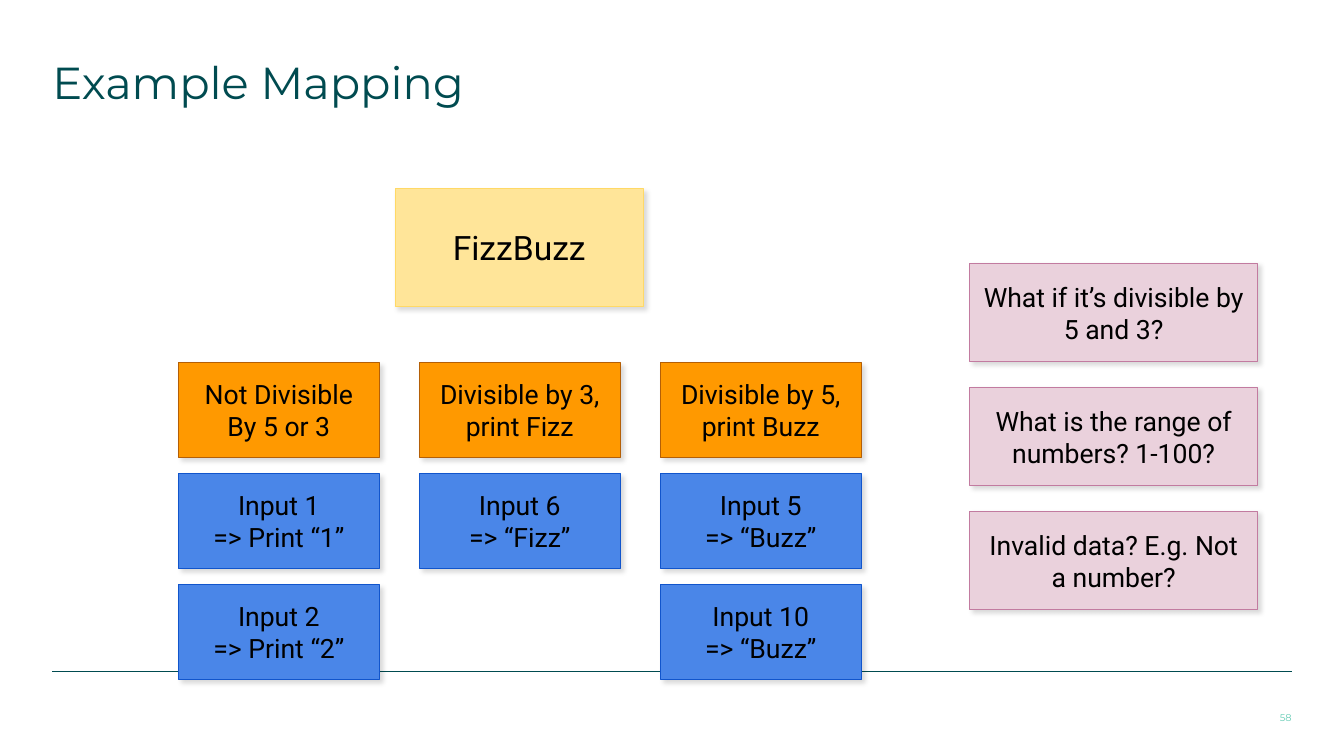
import dataclasses

import lxml.etree
import pptx
import pptx.dml.color
import pptx.enum.shapes
import pptx.enum.text
import pptx.oxml.ns
import pptx.util

Inches = pptx.util.Inches
ALIGN = pptx.enum.text.PP_ALIGN
ANCHOR = pptx.enum.text.MSO_ANCHOR


@dataclasses.dataclass(frozen=True)
class Theme:
    heading_font: str = "Montserrat"
    card_font: str = "Roboto"
    heading: str = "004B50"
    page_number: str = "65CCB5"
    ink: str = "000000"
    story: tuple = ("FFE599", "FFD966")
    rule: tuple = ("FF9900", "B45F06")
    example: tuple = ("4A86E8", "1155CC")
    question: tuple = ("EAD1DC", "C27BA0")
    title_size: float = 32
    story_size: float = 24
    card_size: float = 19
    page_size: float = 7
    line_width: float = 0.75


class SlideBuilder:
    def __init__(self, presentation, theme):
        self.theme = theme
        self.slide = presentation.slides.add_slide(presentation.slide_layouts[5])

    def color(self, value):
        return pptx.dml.color.RGBColor.from_string(value)

    def effects(self, shape):
        return lxml.etree.SubElement(
            shape._element.spPr, pptx.oxml.ns.qn("a:effectLst"))

    def set_text(self, shape, text, font, size, color, align, anchor, inset=0, spacing=None):
        frame = shape.text_frame
        frame.text = text
        margin = Inches(inset)
        frame_format = {
            "word_wrap": True,
            "auto_size": pptx.enum.text.MSO_AUTO_SIZE.NONE,
            "vertical_anchor": anchor,
            "margin_left": margin,
            "margin_right": margin,
            "margin_top": margin,
            "margin_bottom": margin,
        }
        for name, value in frame_format.items():
            setattr(frame, name, value)
        for paragraph in frame.paragraphs:
            paragraph.alignment = align
            paragraph.line_spacing = spacing
            for run in paragraph.runs:
                for name, value in {"name": font, "size": pptx.util.Pt(size)}.items():
                    setattr(run.font, name, value)
                run.font.color.rgb = self.color(color)

    def title(self, text, left, top, width, height):
        shape = self.slide.shapes.title
        position = {"left": left, "top": top, "width": width, "height": height}
        for name, value in position.items():
            setattr(shape, name, Inches(value))
        self.set_text(shape, text, self.theme.heading_font, self.theme.title_size,
                      self.theme.heading, ALIGN.LEFT, ANCHOR.TOP, spacing=0.9)

    def page_number(self, text, left, top, width, height):
        shape = self.slide.shapes.add_textbox(*map(Inches, (left, top, width, height)))
        self.set_text(shape, text, self.theme.heading_font, self.theme.page_size,
                      self.theme.page_number, ALIGN.RIGHT, ANCHOR.MIDDLE)

    def footer_line(self, left, right, top):
        line = self.slide.shapes.add_connector(
            pptx.enum.shapes.MSO_CONNECTOR.STRAIGHT,
            *map(Inches, (left, top, right, top)))
        line.line.color.rgb = self.color(self.theme.heading)
        line.line.width = pptx.util.Pt(self.theme.line_width)
        self.effects(line)

    def card(self, text, left, top, width, height, colors, size):
        shape = self.slide.shapes.add_shape(
            pptx.enum.shapes.MSO_SHAPE.RECTANGLE,
            *map(Inches, (left, top, width, height)))
        fill, outline = colors
        shape.fill.solid()
        shape.fill.fore_color.rgb = self.color(fill)
        shape.line.color.rgb = self.color(outline)
        shape.line.width = pptx.util.Pt(self.theme.line_width)
        self.card_shadow(shape)
        self.set_text(shape, text, self.theme.card_font, size, self.theme.ink,
                      ALIGN.CENTER, ANCHOR.MIDDLE, inset=0.13)

    def card_shadow(self, shape):
        qn = pptx.oxml.ns.qn
        shadow = lxml.etree.SubElement(
            self.effects(shape), qn("a:outerShdw"),
            blurRad=str(pptx.util.Pt(3.4)), dist=str(pptx.util.Pt(3)),
            dir=str(43 * 60000), algn="bl", rotWithShape="0")
        color = lxml.etree.SubElement(shadow, qn("a:srgbClr"), val=self.theme.ink)
        lxml.etree.SubElement(color, qn("a:alpha"), val="15000")


RULE_COLUMNS = [
    ["Not Divisible By 5 or 3", "Input 1\v=> Print “1”", "Input 2\n=> Print “2”"],
    ["Divisible by 3, print Fizz", "Input 6\n=> “Fizz”"],
    ["Divisible by 5, print Buzz", "Input 5\n=> “Buzz”", "Input 10\n=> “Buzz”"],
]
QUESTIONS = [
    "What if it’s divisible by 5 and 3?",
    "What is the range of numbers? 1-100?",
    "Invalid data? E.g. Not a number?",
]


def main():
    presentation = pptx.Presentation()
    presentation.slide_width = Inches(13.33)
    presentation.slide_height = Inches(7.5)
    theme = Theme()
    builder = SlideBuilder(presentation, theme)

    builder.footer_line(0.52, 12.81, 6.66)
    builder.title("Example Mapping", 0.52, 0.6, 12.28, 0.54)
    builder.card("FizzBuzz", 3.92, 1.87, 2.46, 1.17, theme.story, theme.story_size)
    for column, cards in enumerate(RULE_COLUMNS):
        for row, text in enumerate(cards):
            colors = theme.example if row else theme.rule
            builder.card(text, 1.77 + 2.39 * column, 3.6 + 1.1 * row, 1.99, 0.94,
                         colors, theme.card_size)
    for row, text in enumerate(QUESTIONS):
        builder.card(text, 9.62, 2.61 + 1.23 * row, 2.85, 0.98,
                     theme.question, theme.card_size)
    builder.page_number("58", 12.55, 7, 0.26, 0.23)

    presentation.save("out.pptx")


if __name__ == "__main__":
    main()
